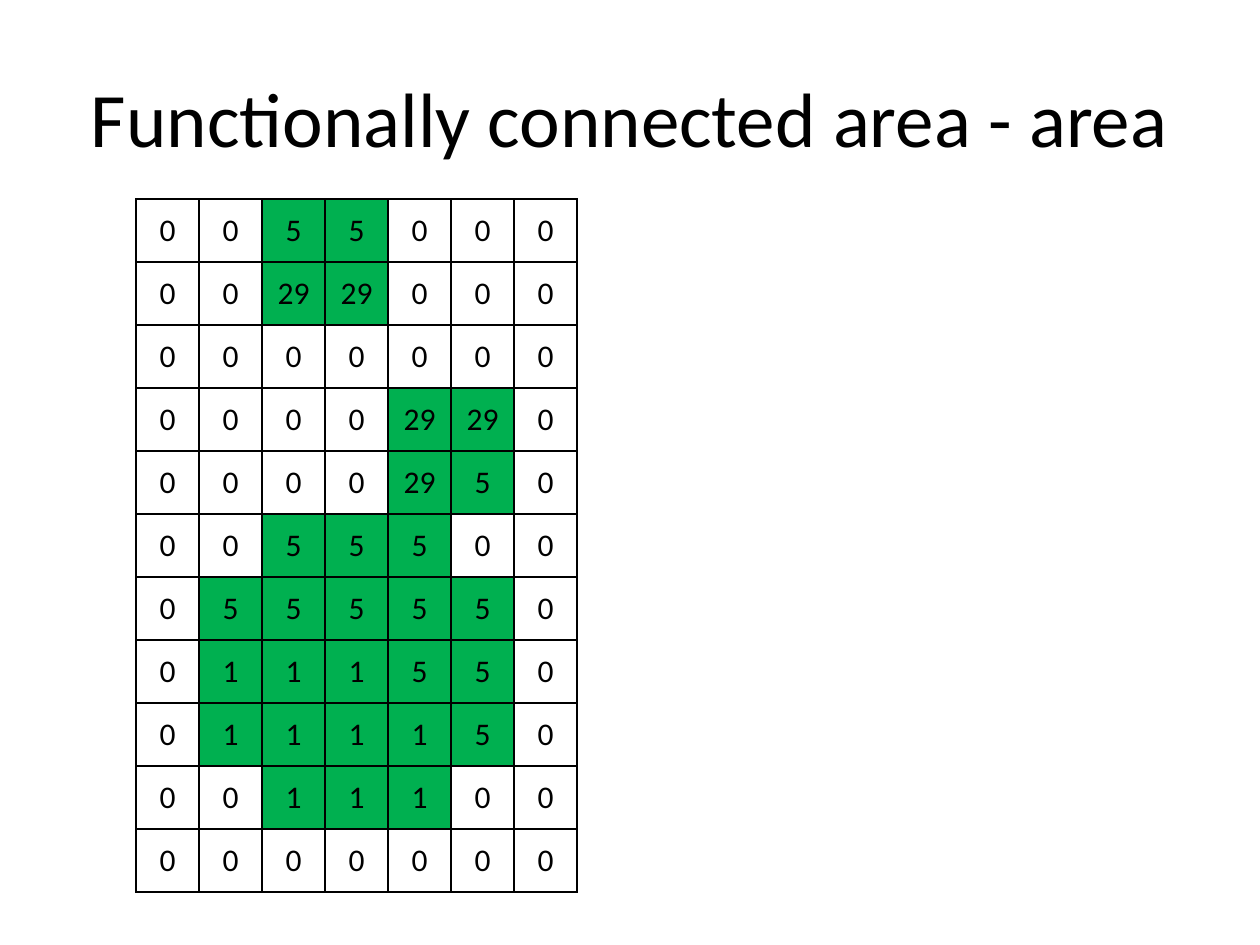
from lxml import etree
from pptx import Presentation
from pptx.dml.color import RGBColor
from pptx.enum.text import MSO_ANCHOR, PP_ALIGN
from pptx.oxml.ns import qn
from pptx.util import Inches, Pt

CENTER, MIDDLE = PP_ALIGN.CENTER, MSO_ANCHOR.MIDDLE
FONT, BLACK, GREEN = "Calibri", "000000", "00B050"
CELL = 0.5  # side of a grid cell in inches
GRID_LEFT, GRID_TOP = 1.08, 1.58
AREA_VALUES = [
    [0, 0, 5, 5, 0, 0, 0],
    [0, 0, 29, 29, 0, 0, 0],
    [0, 0, 0, 0, 0, 0, 0],
    [0, 0, 0, 0, 29, 29, 0],
    [0, 0, 0, 0, 29, 5, 0],
    [0, 0, 5, 5, 5, 0, 0],
    [0, 5, 5, 5, 5, 5, 0],
    [0, 1, 1, 1, 5, 5, 0],
    [0, 1, 1, 1, 1, 5, 0],
    [0, 0, 1, 1, 1, 0, 0],
    [0, 0, 0, 0, 0, 0, 0],
]


def color(hex_value):
    return RGBColor.from_string(hex_value)


def write_text(tf, text, size):
    p = tf.paragraphs[0]
    p.alignment = CENTER
    r = p.add_run()
    r.text = text
    for name, value in {"name": FONT, "size": Pt(size)}.items():
        setattr(r.font, name, value)
    r.font.color.rgb = color(BLACK)


def add_title(s, prs, text):
    w, h = prs.slide_width, prs.slide_height
    sp = s.shapes.add_textbox(int(w * 0.05), int(h * 0.04), int(w * 0.9), int(h / 6))
    tf = sp.text_frame
    for name, value in {"word_wrap": True, "vertical_anchor": MIDDLE}.items():
        setattr(tf, name, value)
    write_text(tf, text, 44)


def add_borders(cell, width=1):
    tc_pr = cell._tc.get_or_add_tcPr()
    # Border lines must come before the fill
    for i, side in enumerate(("lnL", "lnR", "lnT", "lnB")):
        ln = etree.Element(qn(f"a:{side}"), w=str(Pt(width)))
        fill = etree.SubElement(ln, qn("a:solidFill"))
        etree.SubElement(fill, qn("a:srgbClr"), val=BLACK)
        tc_pr.insert(i, ln)


def format_cell(cell, value):
    cell.vertical_anchor = MIDDLE
    write_text(cell.text_frame, str(value), 18)
    if value:
        cell.fill.solid()
        cell.fill.fore_color.rgb = color(GREEN)
    else:
        cell.fill.background()
    add_borders(cell)


def add_value_grid(s, values):
    rows, cols = len(values), len(values[0])
    table = s.shapes.add_table(
        rows, cols, Inches(GRID_LEFT), Inches(GRID_TOP),
        Inches(cols * CELL), Inches(rows * CELL)).table
    for name in ("first_row", "horz_banding"):
        setattr(table, name, False)
    for i, row in enumerate(values):
        for j, value in enumerate(row):
            format_cell(table.cell(i, j), value)


def main():
    prs = Presentation()
    prs.slide_width, prs.slide_height = Inches(10), Inches(7.5)
    s = prs.slides.add_slide(prs.slide_layouts[6])

    # Grid of area values, with the connected areas in green
    add_value_grid(s, AREA_VALUES)

    # Heading
    add_title(s, prs, "Functionally connected area - area")

    prs.save("out.pptx")


if __name__ == "__main__":
    main()
